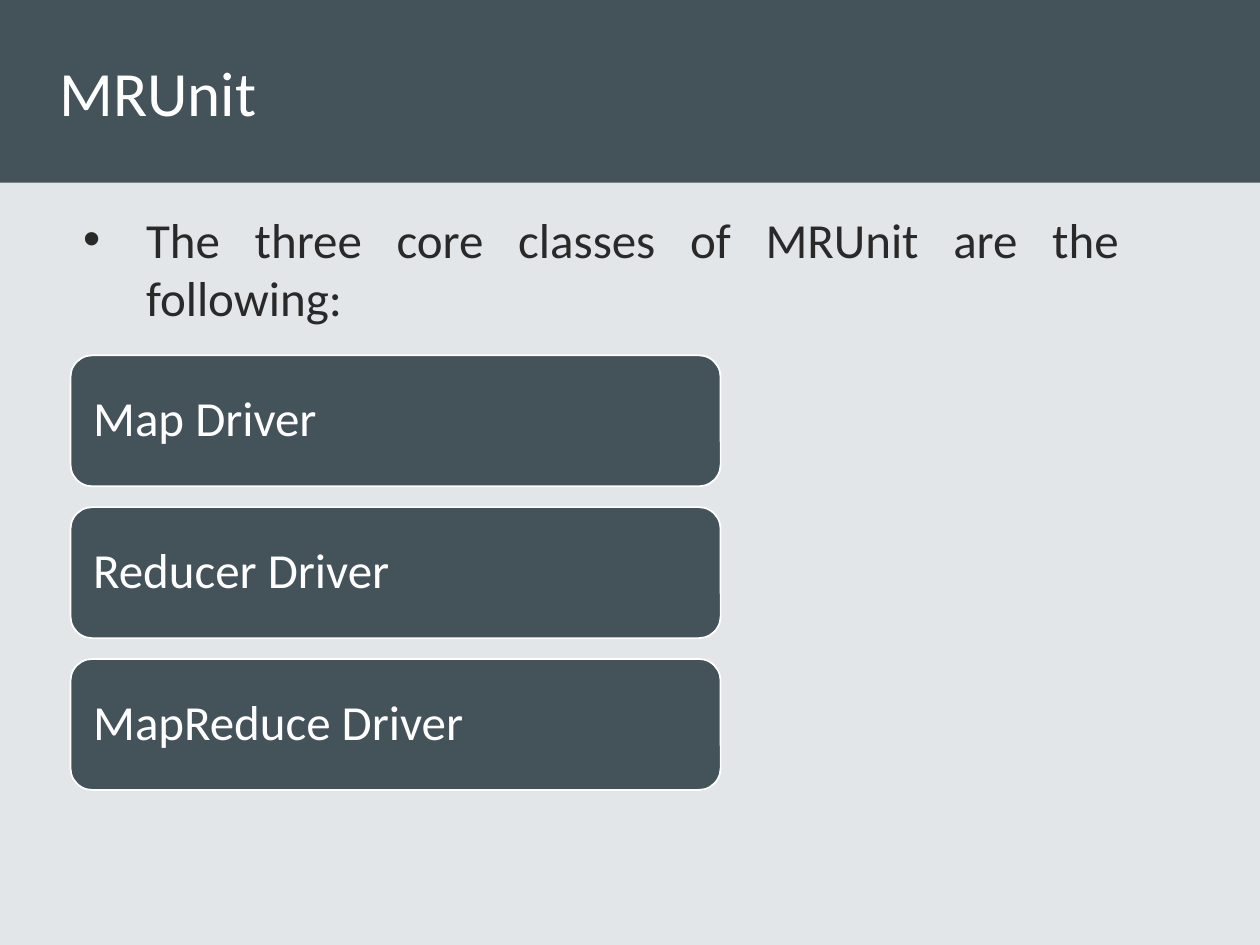
"""Build the MRUnit slide: a title band, an introductory bullet and three driver cards."""
from lxml import etree
from pptx import Presentation
from pptx.dml.color import RGBColor
from pptx.enum.shapes import MSO_SHAPE
from pptx.enum.text import MSO_ANCHOR, MSO_AUTO_SIZE, PP_ALIGN
from pptx.oxml.ns import qn
from pptx.util import Inches, Pt

RECTANGLE, ROUNDED = MSO_SHAPE.RECTANGLE, MSO_SHAPE.ROUNDED_RECTANGLE
TOP, MIDDLE = MSO_ANCHOR.TOP, MSO_ANCHOR.MIDDLE
LEFT, JUSTIFY = PP_ALIGN.LEFT, PP_ALIGN.JUSTIFY
NO_FIT = MSO_AUTO_SIZE.NONE

SLATE = RGBColor(0x44, 0x52, 0x5A)
PALE = RGBColor(0xE2, 0xE6, 0xE8)
INK = RGBColor(0x29, 0x29, 0x29)
WHITE = RGBColor(0xFF, 0xFF, 0xFF)

DRIVERS = ["Map Driver", "Reducer Driver", "MapReduce Driver"]
CARD_TOP, CARD_PITCH = 2.82, 1.205


def write(shape, text, size=28, color=WHITE, align=LEFT, anchor=MIDDLE,
          inset=0.1, spacing=1.0, bullet=None):
    frame = shape.text_frame
    frame.word_wrap = True
    frame.auto_size = NO_FIT
    frame.vertical_anchor = anchor
    frame.margin_left = frame.margin_right = Inches(inset)
    frame.margin_top = frame.margin_bottom = Inches(0.05)
    frame.text = text
    paragraph = frame.paragraphs[0]
    paragraph.alignment = align
    paragraph.line_spacing = spacing
    paragraph.space_before = Pt(0)
    if bullet:
        properties = paragraph._p.get_or_add_pPr()
        properties.set("marL", str(Inches(0.5)))
        properties.set("indent", str(Inches(-0.5)))
        etree.SubElement(properties, qn("a:buFont")).set("typeface", "Arial")
        etree.SubElement(properties, qn("a:buChar")).set("char", bullet)
    font = paragraph.runs[0].font
    font.name = "Calibri"
    font.size = Pt(size)
    font.color.rgb = color


def add_panel(kind, left, top, width, height):
    panel = slide.shapes.add_shape(
        kind, Inches(left), Inches(top), Inches(width), Inches(height))
    panel.shadow.inherit = False
    panel.fill.solid()
    panel.fill.fore_color.rgb = SLATE
    return panel


prs = Presentation()
prs.slide_width, prs.slide_height = Inches(10), Inches(7.5)
slide = prs.slides.add_slide(prs.slide_layouts[1])
slide.background.fill.solid()
slide.background.fill.fore_color.rgb = PALE

title, intro = slide.placeholders
title.left, title.top = Inches(0.37), Inches(0)
title.width, title.height = Inches(9.17), Inches(1.45)
write(title, "MRUnit", size=36)

intro.left, intro.top = Inches(0.56), Inches(1.61)
intro.width, intro.height = Inches(8.42), Inches(1.04)
write(intro, "The three core classes of MRUnit are the following:",
      color=INK, align=JUSTIFY, anchor=TOP, bullet="•")

band = add_panel(RECTANGLE, 0, 0, 10, 1.45)
band.line.fill.background()
title.element.addprevious(band.element)

for row, driver in enumerate(DRIVERS):
    card = add_panel(ROUNDED, 0.56, CARD_TOP + row * CARD_PITCH, 5.16, 1.04)
    card.line.color.rgb = WHITE
    card.line.width = Pt(1)
    write(card, driver, inset=0.13, spacing=0.9)

prs.save("out.pptx")
